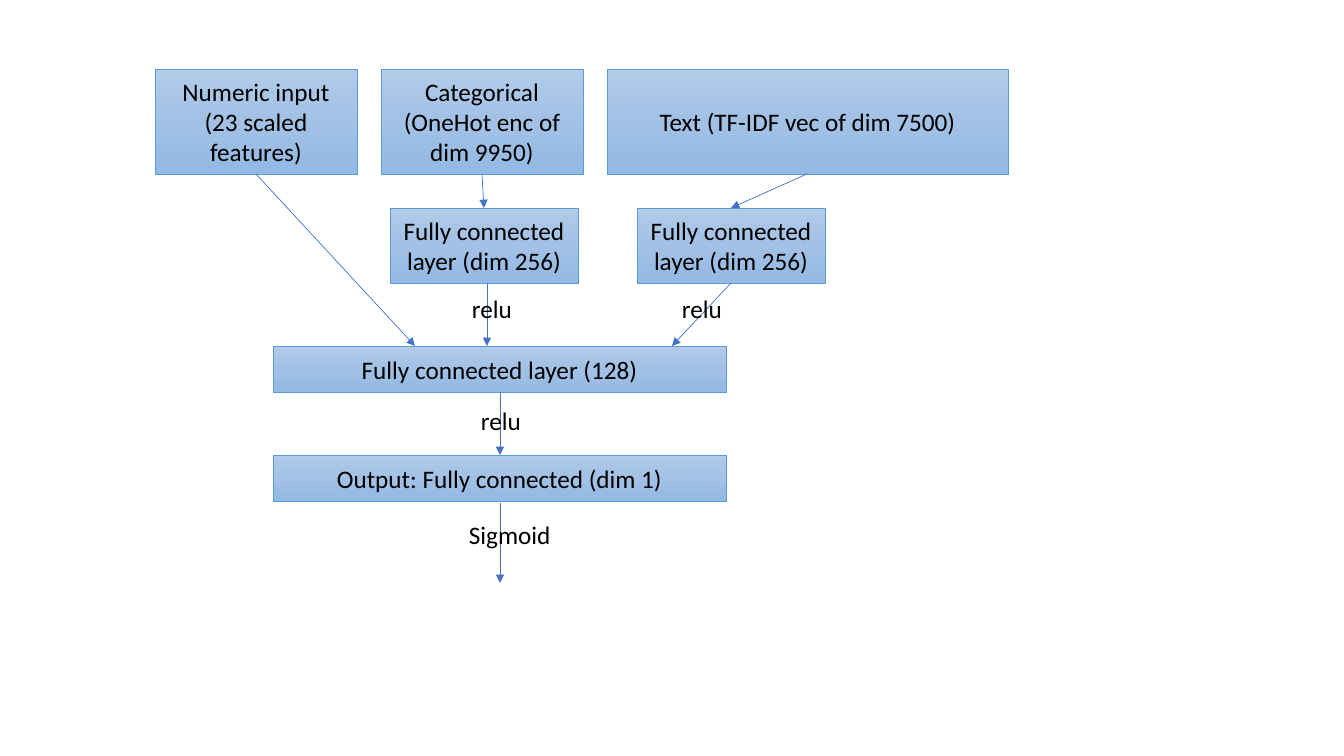
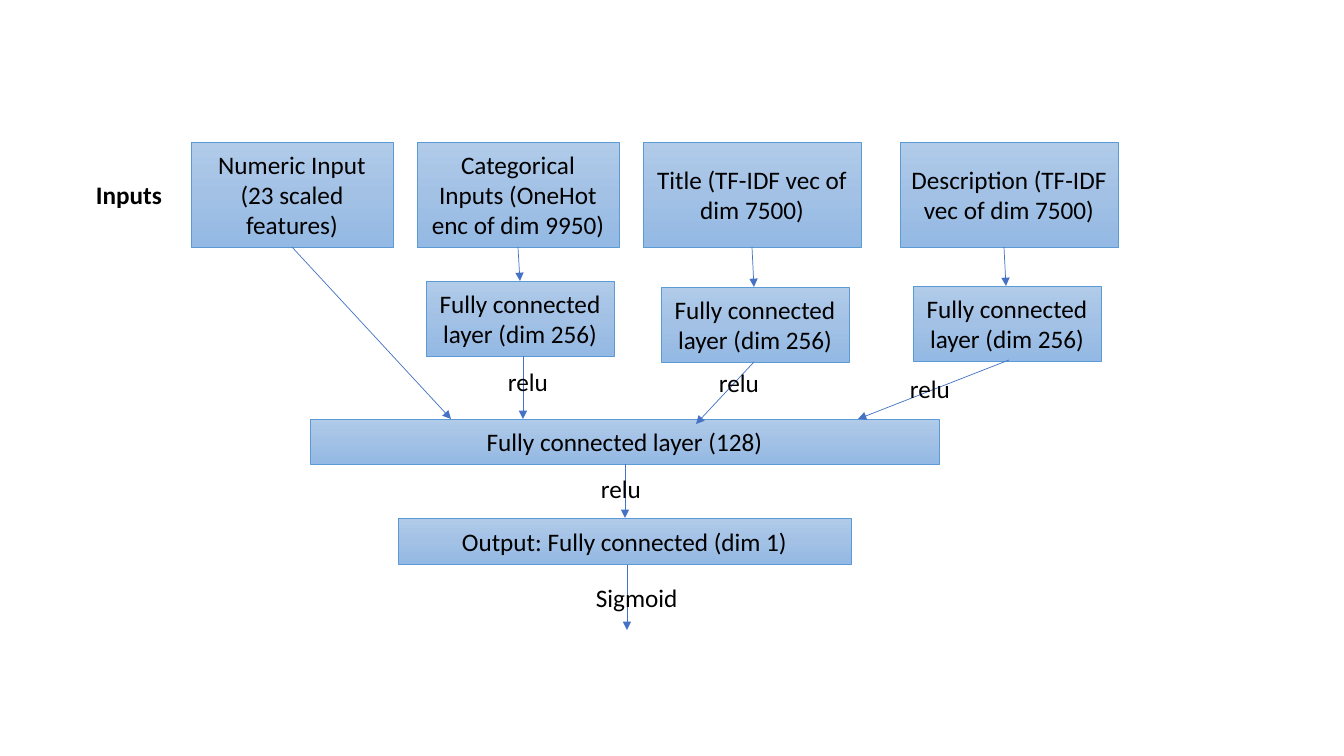
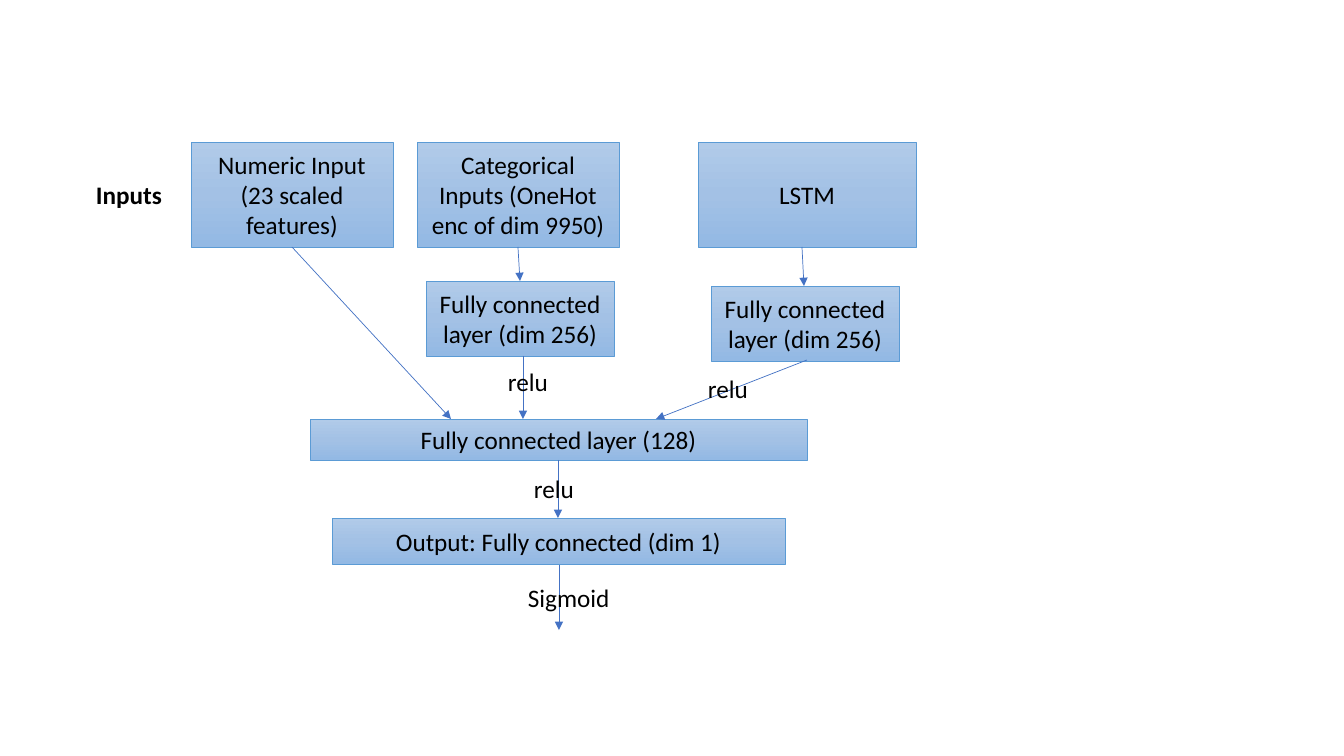
import copy
import pptx
import pptx.util
import pptx.dml.color
import pptx.enum.shapes
import pptx.enum.text
import pptx.oxml
import pptx.oxml.ns

SCALE = 914400 / 100.8
COLOURS = {"top": "B1CBE9", "middle": "A3C1E5", "bottom": "93B9E4",
           "border": "5B9BD5", "arrow": "4472C4", "text": "000000"}
FONT = "Calibri"
HIDDEN = "Fully connected layer (dim 256)"
INPUT_HEIGHT = 105
HIDDEN_SIZE = (188, 75)
OUTPUT_SIZE = (453, 46)


def emu(*pixels):
    return [pptx.util.Emu(round(value * SCALE)) for value in pixels]


def colour(name):
    return pptx.dml.color.RGBColor.from_string(COLOURS[name])


def write(frame, text, size=18, bold=False, centred=False):
    frame.word_wrap = True
    para = frame.paragraphs[0]
    if centred:
        para.alignment = pptx.enum.text.PP_ALIGN.CENTER
        frame.vertical_anchor = pptx.enum.text.MSO_ANCHOR.MIDDLE
    span = para.add_run()
    span.text = text
    span.font.name = FONT
    span.font.size = pptx.util.Pt(size)
    span.font.bold = bold
    span.font.color.rgb = colour("text")


class Diagram:
    def __init__(self):
        self.deck = pptx.Presentation()
        self.deck.slide_width, self.deck.slide_height = emu(1344, 756)
        self.page = None

    def new_page(self):
        self.page = self.deck.slides.add_slide(self.deck.slide_layouts[6])

    def layer(self, text, left, top, width, height):
        box = self.page.shapes.add_shape(
            pptx.enum.shapes.MSO_SHAPE.RECTANGLE, *emu(left, top, width, height))
        box.shadow.inherit = False
        box.fill.gradient()
        box.fill.gradient_angle = 270
        stops = box._element.spPr.find(".//" + pptx.oxml.ns.qn("a:gsLst"))
        stops.insert(1, copy.deepcopy(stops[0]))
        for index, name in enumerate(("top", "middle", "bottom")):
            stop = box.fill.gradient_stops[index]
            stop.position = index / 2
            stop.color.rgb = colour(name)
        box.line.color.rgb = colour("border")
        box.line.width = pptx.util.Pt(0.5)
        write(box.text_frame, text, centred=True)

    def arrow(self, start, end):
        line = self.page.shapes.add_connector(
            pptx.enum.shapes.MSO_CONNECTOR.STRAIGHT, *emu(*start, *end))
        line.line.color.rgb = colour("arrow")
        line.line.width = pptx.util.Pt(0.5)
        head = pptx.oxml.ns.qn("a:tailEnd")
        line.line._get_or_add_ln().makeelement(head)
        outline = line.line._get_or_add_ln()
        outline.append(outline.makeelement(head, {"type": "triangle"}))
        properties = line._element.spPr
        properties.append(properties.makeelement(pptx.oxml.ns.qn("a:effectLst")))

    def label(self, text, left, top, width=163, bold=False):
        box = self.page.shapes.add_textbox(*emu(left, top, width, 40))
        write(box.text_frame, text, bold=bold)

    def trunk(self, merge, output, axis, relu, sigmoid, exit_start, exit_end):
        left, top, width, height = merge
        self.layer("Fully connected layer (128)", *merge)
        self.layer("Output: Fully connected (dim 1)", *output, *OUTPUT_SIZE)
        self.arrow((axis, top + height), (axis, output[1]))
        self.arrow(exit_start, exit_end)
        self.label("relu", *relu)
        self.label("Sigmoid", *sigmoid, width=115)

    def left_branches(self, x, y, numeric, categorical):
        bottom = y + INPUT_HEIGHT
        self.layer(numeric, x, y, 202, INPUT_HEIGHT)
        self.layer(categorical, x + 226, y, 202, INPUT_HEIGHT)
        self.layer(HIDDEN, x + 235, y + 139, *HIDDEN_SIZE)
        self.arrow((x + 101, bottom), (x + 260, y + 277))
        self.arrow((x + 327, bottom), (x + 329, y + 139))
        self.arrow((x + 332, y + 214), (x + 332, y + 277))
        self.label("relu", x + 307, y + 219)

    def text_branch(self, text, box, hidden, feed, link, relu):
        self.layer(text, *box, INPUT_HEIGHT)
        self.layer(HIDDEN, *hidden, *HIDDEN_SIZE)
        self.arrow(*feed)
        self.arrow(*link)
        self.label("relu", *relu)

    def slanted_branch(self, text, x):
        self.text_branch(text, (x, 142, 218), (x + 13, 286),
                         ((x + 104, 247), (x + 106, 286)),
                         ((x + 109, 360), (x - 42, 419)), (x, 368))

    def inputs_row(self):
        self.left_branches(191, 142, "Numeric Input (23 scaled features)",
                           "Categorical Inputs (OneHot enc of dim 9950)")
        self.label("Inputs", 86, 174, width=106, bold=True)


diagram = Diagram()

diagram.new_page()
diagram.trunk((273, 346, 453, 46), (273, 455), 500, (471, 400), (459, 514),
              (500, 503), (500, 583))
diagram.left_branches(155, 69, "Numeric input (23 scaled features)",
                      "Categorical (OneHot enc of dim 9950)")
diagram.text_branch("Text (TF-IDF vec of dim 7500)", (607, 69, 401), (637, 208),
                    ((807, 174), (731, 208)), ((731, 283), (672, 346)), (672, 288))

diagram.new_page()
diagram.trunk((310, 419, 629, 45), (398, 518), 625, (591, 468), (586, 577),
              (627, 565), (627, 630))
diagram.inputs_row()
diagram.text_branch("Title (TF-IDF vec of dim 7500)", (643, 142, 218), (661, 287),
                    ((752, 247), (754, 287)), ((754, 362), (696, 424)), (709, 362))
diagram.slanted_branch("Description (TF-IDF vec of dim 7500)", 900)

diagram.new_page()
diagram.trunk((310, 419, 497, 41), (332, 518), 558, (524, 468), (518, 577),
              (559, 565), (559, 630))
diagram.inputs_row()
diagram.slanted_branch("LSTM", 698)

diagram.deck.save("out.pptx")
